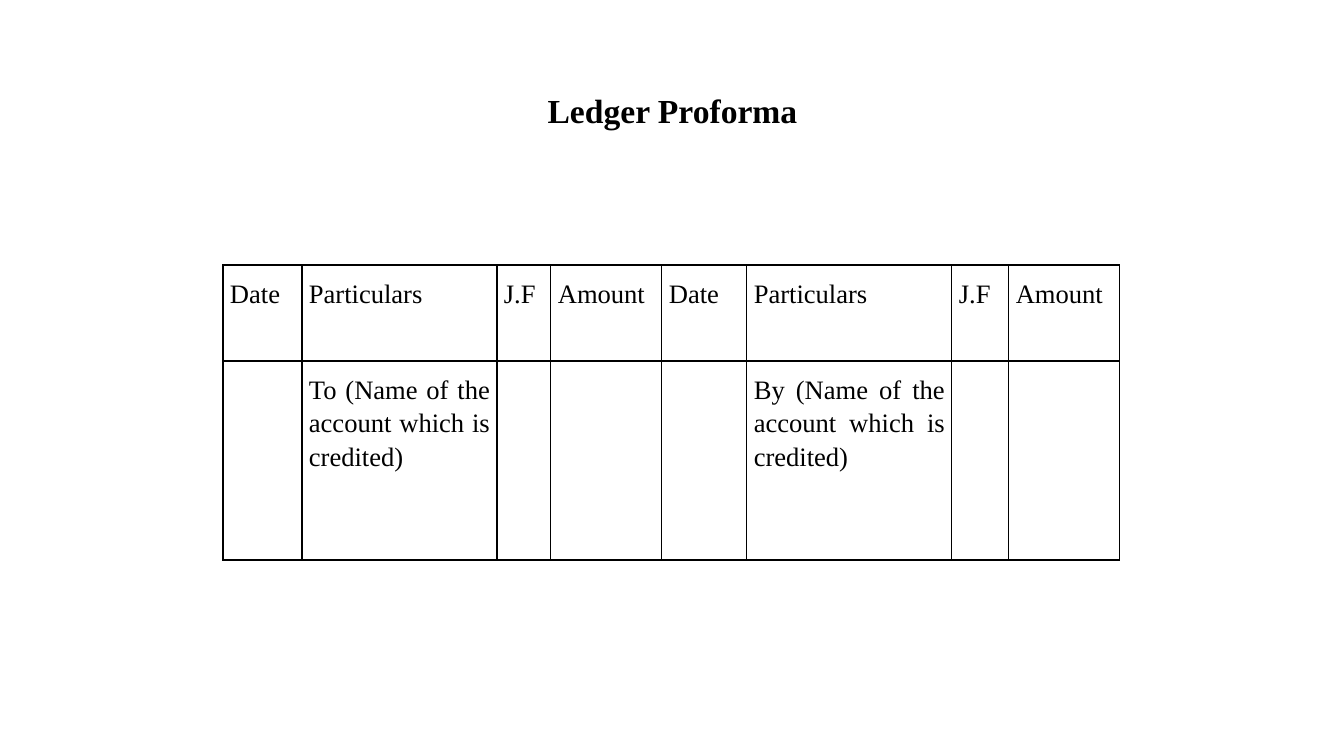
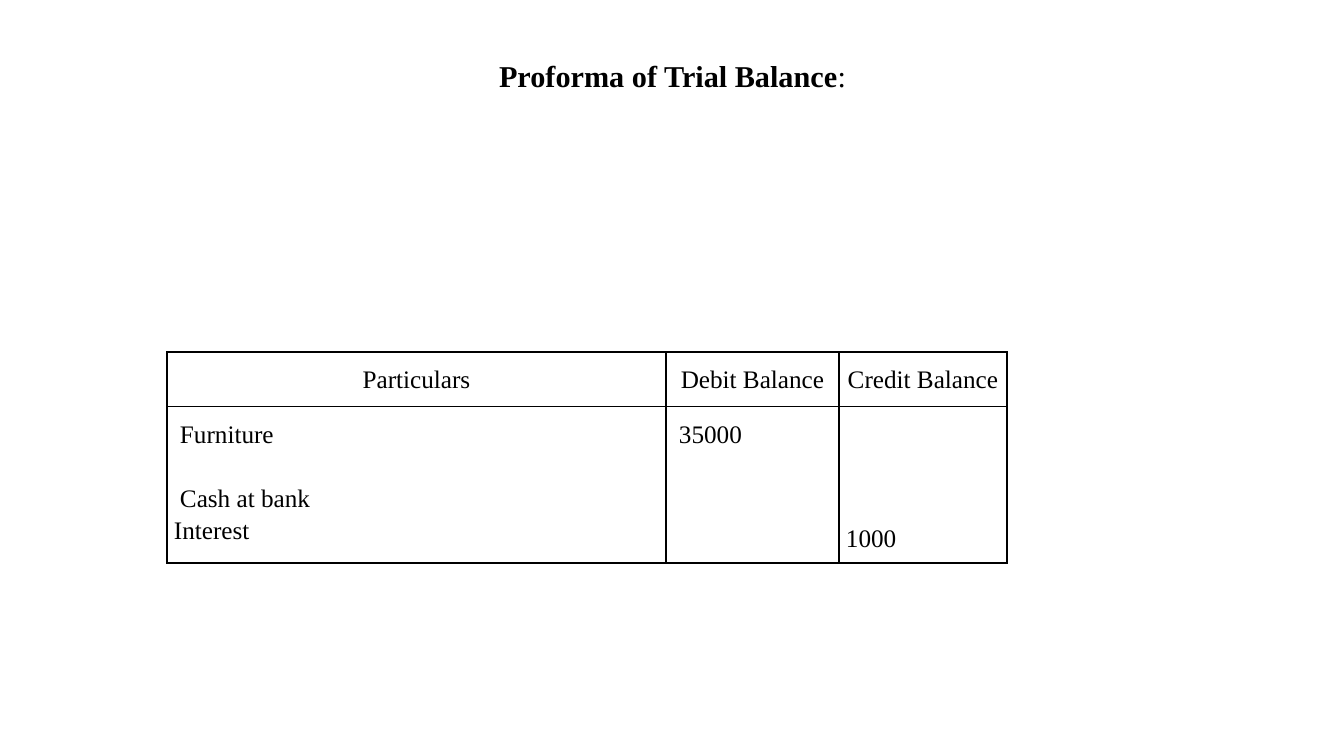
"""Build two bookkeeping slides: a ledger proforma and a trial balance proforma."""
from dataclasses import dataclass

from lxml.etree import SubElement
from pptx import Presentation
from pptx.dml.color import RGBColor
from pptx.enum.text import MSO_ANCHOR as Anchor, PP_ALIGN as Align
from pptx.oxml.ns import qn
from pptx.util import Emu, Pt

EMU_PER_PX = 914400 / 100.8
FONT = "Times New Roman"
INK = "000000"
SLIDE_SIZE = (1344, 756)
TITLE_LEFT, TITLE_WIDTH = 93, 1159
BORDER_POINTS = 1
CELL_MARGINS = {"margin_left": 7, "margin_right": 7, "margin_top": 10, "margin_bottom": 10}
BODY_SPACING = 1.15


@dataclass(frozen=True)
class Run:
    text: str
    bold: bool = False


@dataclass(frozen=True)
class Title:
    runs: tuple[Run, ...]
    top: int
    height: int
    size: float
    spacing: float


@dataclass(frozen=True)
class Line:
    text: str
    align: Align = Align.JUSTIFY
    indent: int = 0
    gap_before: int = 0


@dataclass(frozen=True)
class Cell:
    lines: tuple[Line, ...] = ()
    anchor: Anchor = Anchor.TOP


@dataclass(frozen=True)
class Grid:
    left: int
    top: int
    columns: tuple[int, ...]
    rows: tuple[int, ...]
    size: float
    cells: tuple[tuple[Cell, ...], ...]


def px(length: int) -> Emu:
    return Emu(round(length * EMU_PER_PX))


def color(value: str) -> RGBColor:
    return RGBColor.from_string(value)


def set_all(target, values: dict) -> None:
    for name, value in values.items():
        setattr(target, name, value)


def add_run(paragraph, run: Run, size: float) -> None:
    item = paragraph.add_run()
    item.text = run.text
    set_all(item.font, {"name": FONT, "size": Pt(size), "bold": run.bold})
    item.font.color.rgb = color(INK)


def add_title(slide, title: Title) -> None:
    shape = slide.shapes.add_textbox(
        px(TITLE_LEFT), px(title.top), px(TITLE_WIDTH), px(title.height))
    set_all(shape.text_frame, {"word_wrap": True, "vertical_anchor": Anchor.MIDDLE})
    paragraph = shape.text_frame.paragraphs[0]
    set_all(paragraph, {"alignment": Align.CENTER, "line_spacing": title.spacing})
    for run in title.runs:
        add_run(paragraph, run, title.size)


def add_borders(table_cell) -> None:
    properties = table_cell._tc.get_or_add_tcPr()
    for side in ("lnL", "lnR", "lnT", "lnB"):
        line = SubElement(properties, qn(f"a:{side}"), w=str(Pt(BORDER_POINTS)))
        fill = SubElement(line, qn("a:solidFill"))
        SubElement(fill, qn("a:srgbClr"), val=INK)


def fill_cell(table_cell, cell: Cell, size: float) -> None:
    add_borders(table_cell)
    table_cell.fill.background()
    set_all(table_cell, {name: px(margin) for name, margin in CELL_MARGINS.items()})
    table_cell.vertical_anchor = cell.anchor
    frame = table_cell.text_frame
    for index, line in enumerate(cell.lines):
        paragraph = frame.add_paragraph() if index else frame.paragraphs[0]
        set_all(paragraph, {"alignment": line.align, "line_spacing": BODY_SPACING,
                            "space_before": px(line.gap_before)})
        if line.indent:
            paragraph._p.get_or_add_pPr().set("marL", str(px(line.indent)))
        add_run(paragraph, Run(line.text), size)


def add_grid(slide, grid: Grid) -> None:
    table = slide.shapes.add_table(
        len(grid.rows), len(grid.columns), px(grid.left), px(grid.top),
        px(sum(grid.columns)), px(sum(grid.rows))).table
    set_all(table, {"first_row": False, "horz_banding": False})
    for column, width in zip(table.columns, grid.columns):
        column.width = px(width)
    for row, height, cells in zip(table.rows, grid.rows, grid.cells):
        row.height = px(height)
        for table_cell, cell in zip(row.cells, cells):
            fill_cell(table_cell, cell, grid.size)


def text_cells(texts: tuple[str, ...], align: Align = Align.JUSTIFY) -> tuple[Cell, ...]:
    return tuple(Cell((Line(text, align),) if text else ()) for text in texts)


LEDGER_TITLE = Title((Run("Ledger Proforma", True),), 40, 146, 24, 0.9)
LEDGER = Grid(
    223, 265, (79, 195, 54, 111, 85, 205, 57, 111), (96, 199), 19,
    (text_cells(("Date", "Particulars", "J.F", "Amount") * 2),
     text_cells(("", "To (Name of the account which is credited)", "", "",
                 "", "By (Name of the account which is credited)", "", ""))))

BALANCE_TITLE = Title(
    (Run("Proforma of Trial Balance", True), Run(":")), 48, 50, 21.6, 1.15)
BALANCE = Grid(
    167, 352, (499, 173, 168), (52, 149), 18,
    (text_cells(("Particulars", "Debit Balance", "Credit Balance"), Align.CENTER),
     (Cell((Line("Furniture", indent=6),
            Line("Cash at bank", indent=6, gap_before=32),
            Line("Interest"))),
      Cell((Line("35000", indent=6),)),
      Cell((Line("1000"),), Anchor.BOTTOM))))


def main() -> None:
    presentation = Presentation()
    width, height = SLIDE_SIZE
    set_all(presentation, {"slide_width": px(width), "slide_height": px(height)})
    for title, grid in ((LEDGER_TITLE, LEDGER), (BALANCE_TITLE, BALANCE)):
        slide = presentation.slides.add_slide(presentation.slide_layouts[6])
        add_title(slide, title)
        add_grid(slide, grid)
    presentation.save("out.pptx")


if __name__ == "__main__":
    main()
